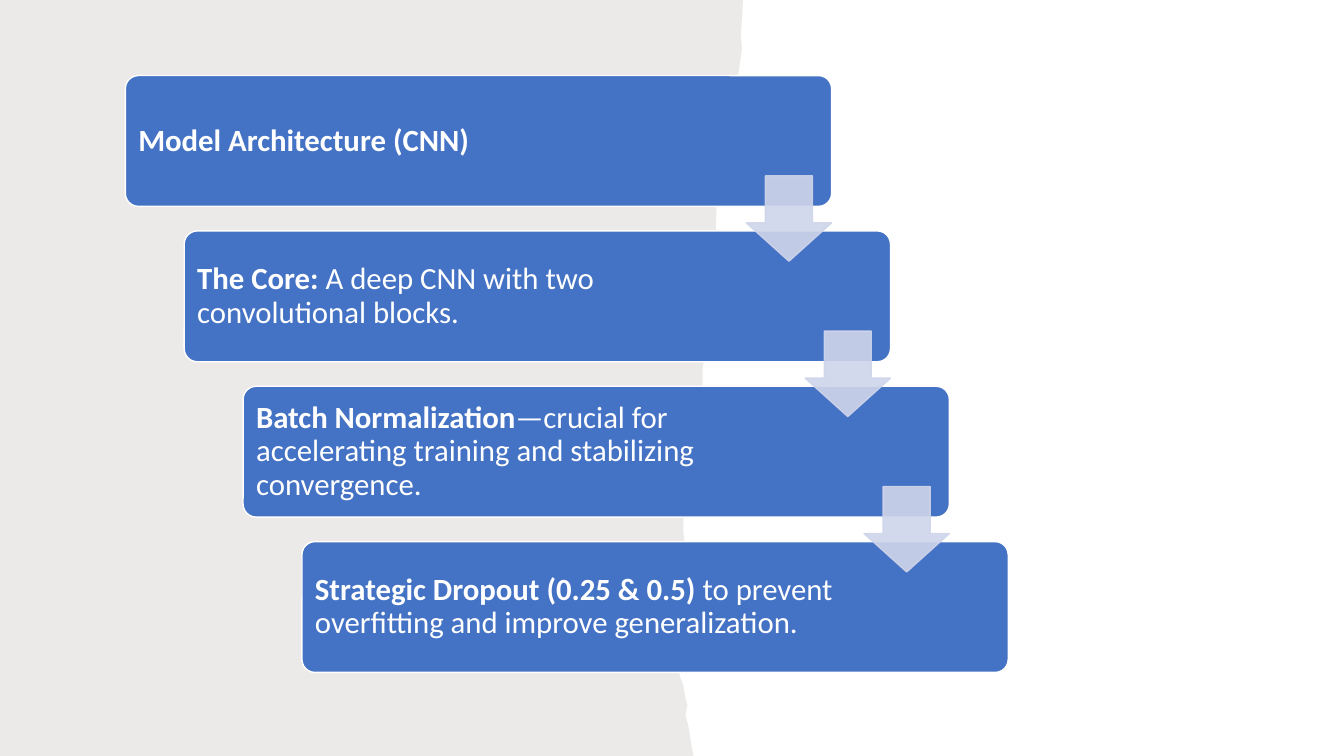
from dataclasses import dataclass

from lxml import etree
from pptx import Presentation
from pptx.dml.color import RGBColor
from pptx.enum.shapes import MSO_SHAPE
from pptx.enum.text import MSO_ANCHOR
from pptx.oxml.ns import qn
from pptx.util import Inches, Pt

ROUND = MSO_SHAPE.ROUNDED_RECTANGLE
DOWN = MSO_SHAPE.DOWN_ARROW
MIDDLE = MSO_ANCHOR.MIDDLE


@dataclass(frozen=True)
class Theme:
    font: str = "Calibri"
    size: int = 22
    inset: float = 0.09
    paper: str = "82766A"
    card: str = "4472C4"
    arrow: str = "CFD5EA"
    white: str = "FFFFFF"


# All lengths are percentages of the slide's width and height.
CARD_X, CARD_Y, CARD_W, CARD_H = 9.33, 10, 52.55, 17.3
STEP_X, STEP_Y = 4.38, 20.55
TEXT_X, TEXT_Y, TEXT_W, TEXT_H = 0.29, 0.48, 41.2, 16.4
ARROW_X, ARROW_Y, ARROW_W, ARROW_H = 46.2, 13.25, 6.35, 11.3

STEPS = [
    ("Model Architecture (CNN)", ""),
    ("The Core:", " A deep CNN with two convolutional blocks."),
    ("Batch Normalization",
     "—crucial for accelerating training and stabilizing convergence."),
    ("Strategic Dropout (0.25 & 0.5)",
     " to prevent overfitting and improve generalization."),
]

TORN_EDGE = [
    (55.28, 0), (55.13, 4.53), (55.2, 6.53), (54.98, 9.33),
    (54.68, 12.27), (54.3, 14), (54.08, 16.27), (53.93, 17.73),
    (53.7, 18.93), (53.78, 19.87), (53.55, 20.8), (53.33, 22.4),
    (53.25, 24.8), (53.33, 26.4), (53.25, 31.2), (53.1, 32.13),
    (52.95, 36.67), (53.1, 38), (52.88, 39.73), (52.95, 40.27),
    (52.73, 44.53), (52.28, 48.67), (52.28, 52.13), (51.98, 53.6),
    (52.05, 54.27), (51.83, 54.67), (51.3, 57.2), (51.08, 58.13),
    (51, 60.4), (50.78, 64.93), (50.63, 66.27), (50.85, 68.4),
    (50.85, 70.53), (51, 72.53), (51.15, 74.13), (51.08, 76.8),
    (50.7, 80.8), (50.63, 84.4), (50.4, 85.6), (50.48, 88.53),
    (50.63, 89.73), (50.85, 90.67), (50.93, 91.73), (51.15, 93.33),
    (51, 94.53), (51.23, 96.13), (51.45, 98.67), (51.6, 100),
]


class Deck:
    def __init__(self, theme):
        self.theme = theme
        self.prs = Presentation()
        self.prs.slide_width = Inches(13.33)
        self.prs.slide_height = Inches(7.5)
        self.slide = self.prs.slides.add_slide(self.prs.slide_layouts[6])
        self.shapes = self.slide.shapes

    def spot(self, x, y):
        """Turn percentages of the slide into lengths."""
        return (int(self.prs.slide_width * x / 100),
                int(self.prs.slide_height * y / 100))

    def paint(self, shape, fill, line=None, alpha=100):
        """Set fill and line; alpha is the opacity in percent."""
        shape.shadow.inherit = False
        shape.fill.solid()
        shape.fill.fore_color.rgb = RGBColor.from_string(fill)
        if line:
            shape.line.color.rgb = RGBColor.from_string(line)
            shape.line.width = Pt(1)
        else:
            shape.line.fill.background()
        if alpha < 100:
            for color in shape.element.spPr.iter(qn("a:srgbClr")):
                node = etree.SubElement(color, qn("a:alpha"))
                node.set("val", str(alpha * 1000))

    def paper(self, edge):
        """Fill the slide's left part up to a torn edge."""
        pen = self.shapes.build_freeform(0, 0)
        points = [self.spot(x, y) for x, y in edge + [(0, 100)]]
        pen.add_line_segments(points, close=True)
        self.paint(pen.convert_to_shape(), self.theme.paper, alpha=15)

    def card(self, x, y):
        box = self.shapes.add_shape(
            ROUND, *self.spot(x, y), *self.spot(CARD_W, CARD_H))
        box.adjustments[0] = 0.1
        self.paint(box, self.theme.card, self.theme.white)

    def label(self, x, y, lead, rest):
        """Place a bold lead followed by plain text."""
        box = self.shapes.add_textbox(
            *self.spot(x, y), *self.spot(TEXT_W, TEXT_H))
        frame = box.text_frame
        frame.word_wrap = True
        frame.vertical_anchor = MIDDLE
        frame.margin_left = frame.margin_right = Inches(self.theme.inset)
        frame.margin_top = frame.margin_bottom = Inches(self.theme.inset)
        para = frame.paragraphs[0]
        para.text = lead
        para.line_spacing = 0.9
        if rest:
            para.add_run().text = rest
        for i, run in enumerate(para.runs):
            run.font.name = self.theme.font
            run.font.size = Pt(self.theme.size)
            run.font.bold = i == 0
            run.font.color.rgb = RGBColor.from_string(self.theme.white)

    def arrow(self, x, y):
        mark = self.shapes.add_shape(
            DOWN, *self.spot(x, y), *self.spot(ARROW_W, ARROW_H))
        mark.adjustments[0] = 0.55
        mark.adjustments[1] = 0.45
        self.paint(mark, self.theme.arrow, self.theme.arrow, alpha=90)

    def save(self):
        self.prs.save("out.pptx")


def main():
    deck = Deck(Theme())
    deck.paper(TORN_EDGE)
    spots = [(CARD_X + i * STEP_X, CARD_Y + i * STEP_Y)
             for i in range(len(STEPS))]
    for (x, y), (lead, rest) in zip(spots, STEPS):
        deck.card(x, y)
        deck.label(x + TEXT_X, y + TEXT_Y, lead, rest)
    for x, y in spots[:-1]:
        deck.arrow(x + ARROW_X, y + ARROW_Y)
    deck.save()


if __name__ == "__main__":
    main()
